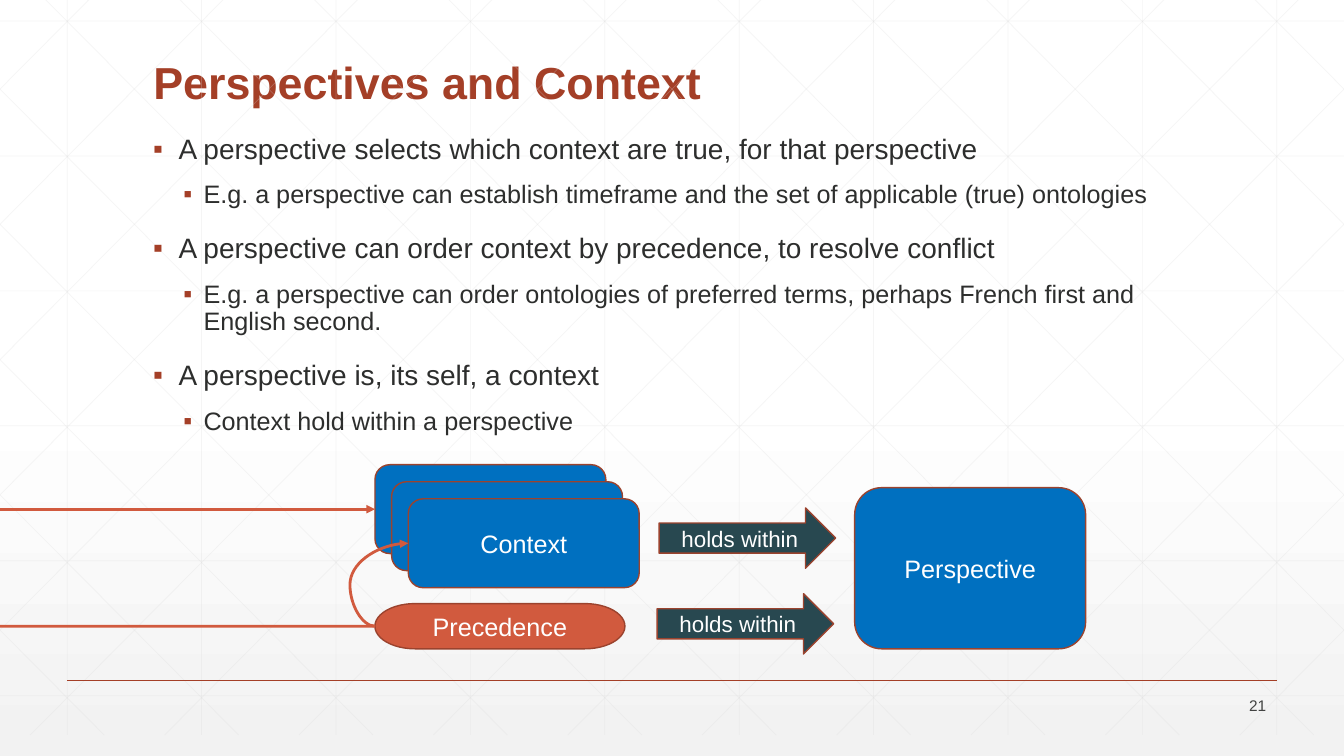
import lxml.etree
import pptx
import pptx.dml.color
import pptx.enum.shapes
import pptx.enum.text
import pptx.oxml.ns
import pptx.util

Cm = pptx.util.Cm
Pt = pptx.util.Pt
SHAPE = pptx.enum.shapes.MSO_SHAPE
CONNECTOR = pptx.enum.shapes.MSO_CONNECTOR
ALIGN = pptx.enum.text.PP_ALIGN
ANCHOR = pptx.enum.text.MSO_ANCHOR

WIDTH, HEIGHT = 33.87, 19.05
COLORS = {
    "white": "FFFFFF", "shade": "F2F2F2", "grid": "D9D9D9", "title": "A43F27",
    "body": "2D2E2D", "number": "424342", "blue": "0070C0", "teal": "284850",
    "orange": "D15A3E", "outline": "9B432E",
}
BULLETS = [
    (0, "A perspective selects which context are true, for that perspective"),
    (1, "E.g. a perspective can establish timeframe and the set of applicable (true) ontologies"),
    (0, "A perspective can order context by precedence, to resolve conflict"),
    (1, "E.g. a perspective can order ontologies of preferred terms, perhaps French first and English second."),
    (0, "A perspective is, its self, a context"),
    (1, "Context hold within a perspective"),
]


def color(name):
    return pptx.dml.color.RGBColor.from_string(COLORS[name])


def add_element(parent, tag, **attributes):
    return lxml.etree.SubElement(parent, pptx.oxml.ns.qn(tag), **attributes)


class SlideBuilder:
    """Draws styled elements on the current slide, with lengths in centimetres."""

    font_name = "Arial"

    def __init__(self, presentation):
        self.slide = presentation.slides.add_slide(presentation.slide_layouts[5])

    def style(self, paragraph, size, color_name, bold=False):
        paragraph.font.name = self.font_name
        paragraph.font.size = Pt(size)
        paragraph.font.bold = bold
        paragraph.font.color.rgb = color(color_name)

    def background(self):
        fill = self.slide.background.fill
        fill.gradient()
        fill.gradient_angle = 270
        for stop, position, name in zip(fill.gradient_stops, (0.53, 1), ("white", "shade")):
            stop.position = position
            stop.color.rgb = color(name)

    def line(self, start, end, color_name, width, opacity=None, arrow=False, bend=None):
        kind = CONNECTOR.STRAIGHT if bend is None else CONNECTOR.CURVE
        connector = self.slide.shapes.add_connector(kind, *map(Cm, start + end))
        connector.line.color.rgb = color(color_name)
        connector.line.width = Pt(width)
        properties = connector.element.spPr
        if opacity is not None:
            add_element(properties.xpath(".//a:srgbClr")[0], "a:alpha", val=str(opacity * 1000))
        if arrow:
            add_element(properties.xpath("a:ln")[0], "a:tailEnd", type="triangle")
        if bend is not None:
            adjustments = properties.xpath(".//a:avLst")[0]
            add_element(adjustments, "a:gd", name="adj1", fmla=f"val {bend}")
        add_element(properties, "a:effectLst")
        return connector

    def grid(self):
        top, bottom = -0.53, HEIGHT - 0.53
        pitch, run = WIDTH / 10, 18.93
        lines = [((x, top), (x, bottom)) for x in (pitch * (i + 0.5) for i in range(10))]
        lines += [((0, y), (WIDTH, y)) for y in (0.53 + 3.4 * i for i in range(6))]
        for i in range(-5, 10):
            left = 0.63 + pitch * i
            enter = max(0, -left / run)
            leave = min(1, (WIDTH - left) / run)
            ends = [(left + run * part, top + HEIGHT * part) for part in (enter, leave)]
            lines += [ends, [(WIDTH - x, y) for x, y in ends]]
        for start, end in lines:
            self.line(start, end, "grid", 0.5, opacity=25)

    def title(self, text, box):
        shape = self.slide.shapes.title
        shape.left, shape.top, shape.width, shape.height = map(Cm, box)
        frame = shape.text_frame
        frame.text = text
        frame.vertical_anchor = ANCHOR.TOP
        paragraph = frame.paragraphs[0]
        paragraph.alignment = ALIGN.LEFT
        paragraph.line_spacing = 0.9
        self.style(paragraph, 32, "title", bold=True)

    def text_box(self, box):
        frame = self.slide.shapes.add_textbox(*map(Cm, box)).text_frame
        frame.word_wrap = True
        return frame

    def bullets(self, items, box):
        frame = self.text_box(box)
        for index, (level, text) in enumerate(items):
            paragraph = frame.add_paragraph() if index else frame.paragraphs[0]
            paragraph.text = text
            paragraph.level = level
            paragraph.line_spacing = 0.9
            paragraph.space_before = Pt((18, 12)[level] if index else 0)
            properties = paragraph._p.get_or_add_pPr()
            properties.set("marL", str(Cm((0.64, 1.27)[level])))
            properties.set("indent", str(-Cm((0.64, 0.51)[level])))
            bullet_color = add_element(properties, "a:buClr")
            add_element(bullet_color, "a:srgbClr", val=COLORS["title"])
            add_element(properties, "a:buFont", typeface=self.font_name)
            add_element(properties, "a:buChar", char="▪")
            self.style(paragraph, (20, 18)[level], "body")

    def page_number(self, text, box):
        frame = self.text_box(box)
        frame.vertical_anchor = ANCHOR.MIDDLE
        frame.text = text
        frame.paragraphs[0].alignment = ALIGN.RIGHT
        self.style(frame.paragraphs[0], 11, "number")

    def node(self, kind, box, fill, text="", size=18):
        shape = self.slide.shapes.add_shape(kind, *map(Cm, box))
        shape.shadow.inherit = False
        shape.fill.solid()
        shape.fill.fore_color.rgb = color(fill)
        shape.line.color.rgb = color("outline")
        shape.line.width = Pt(1)
        if text:
            frame = shape.text_frame
            frame.text = text
            frame.vertical_anchor = ANCHOR.MIDDLE
            frame.paragraphs[0].alignment = ALIGN.CENTER
            self.style(frame.paragraphs[0], size, "white")
        return shape


def main():
    presentation = pptx.Presentation()
    presentation.slide_width, presentation.slide_height = Cm(WIDTH), Cm(HEIGHT)
    builder = SlideBuilder(presentation)
    builder.background()
    builder.grid()
    builder.line((1.69, 17.14), (32.18, 17.14), "title", 1)
    builder.title("Perspectives and Context", (3.61, 1.4, 26.67, 3.18))
    builder.bullets(BULLETS, (3.61, 3.28, 26.67, 10.59))
    builder.page_number("21", (29.62, 17.48, 2.54, 0.61))

    box = SHAPE.FLOWCHART_ALTERNATE_PROCESS
    builder.node(box, (21.54, 12.29, 5.82, 4.06), "blue", "Perspective")
    contexts = [
        builder.node(box, (9.45 + 0.42 * i, 11.71 + 0.43 * i, 5.82, 2.24), "blue", text)
        for i, text in enumerate(("", "", "Context"))
    ]
    precedence = builder.node(
        SHAPE.FLOWCHART_TERMINATOR, (9.45, 15.21, 6.3, 1.14), "orange", "Precedence")
    for left, top in ((16.61, 12.8), (16.56, 14.96)):
        builder.node(SHAPE.RIGHT_ARROW, (left, top, 4.45, 1.52), "teal", "holds within", 16)

    incoming = builder.line((0, 12.83), (9.45, 12.83), "orange", 2, arrow=True)
    incoming.end_connect(contexts[0], 1)
    outgoing = builder.line((0, 15.78), (9.45, 15.78), "orange", 2)
    outgoing.end_connect(precedence, 1)
    builder.line((9.45, 15.78), (10.29, 13.69), "orange", 2, arrow=True, bend=-75000)
    presentation.save("out.pptx")


if __name__ == "__main__":
    main()
